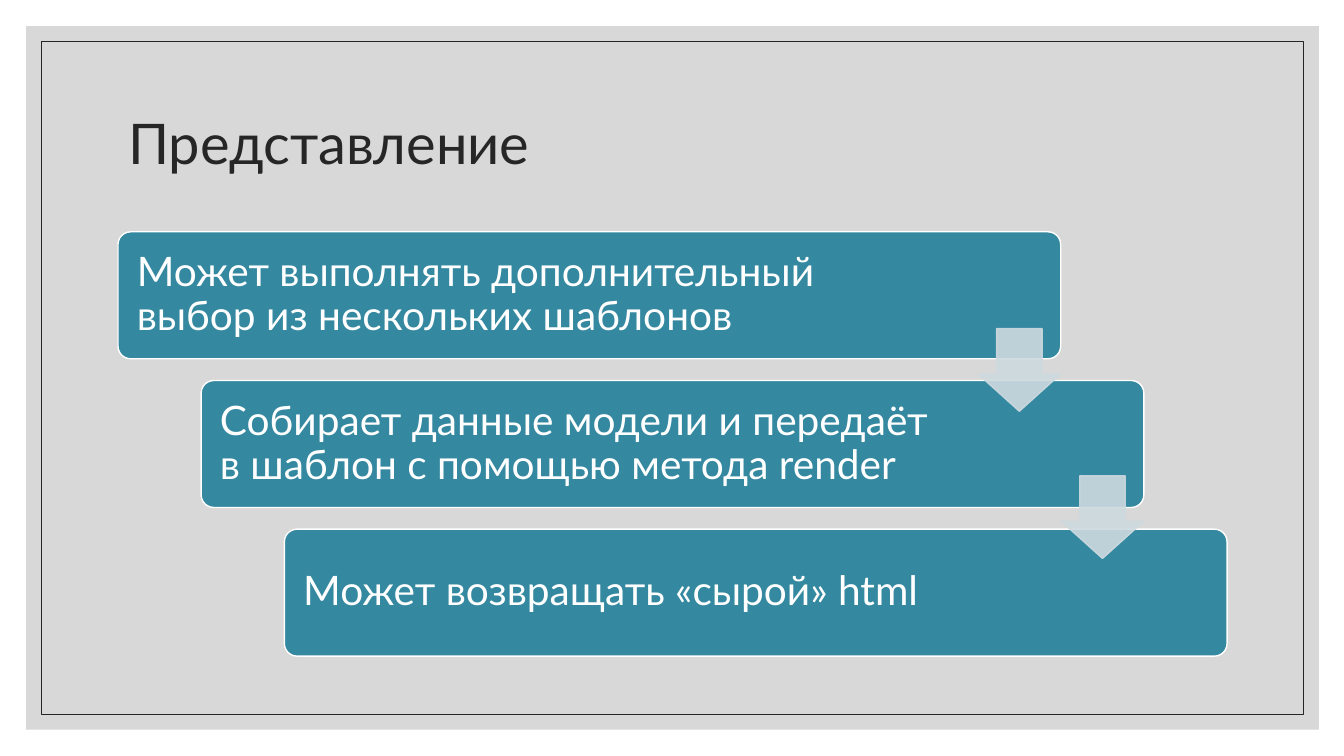
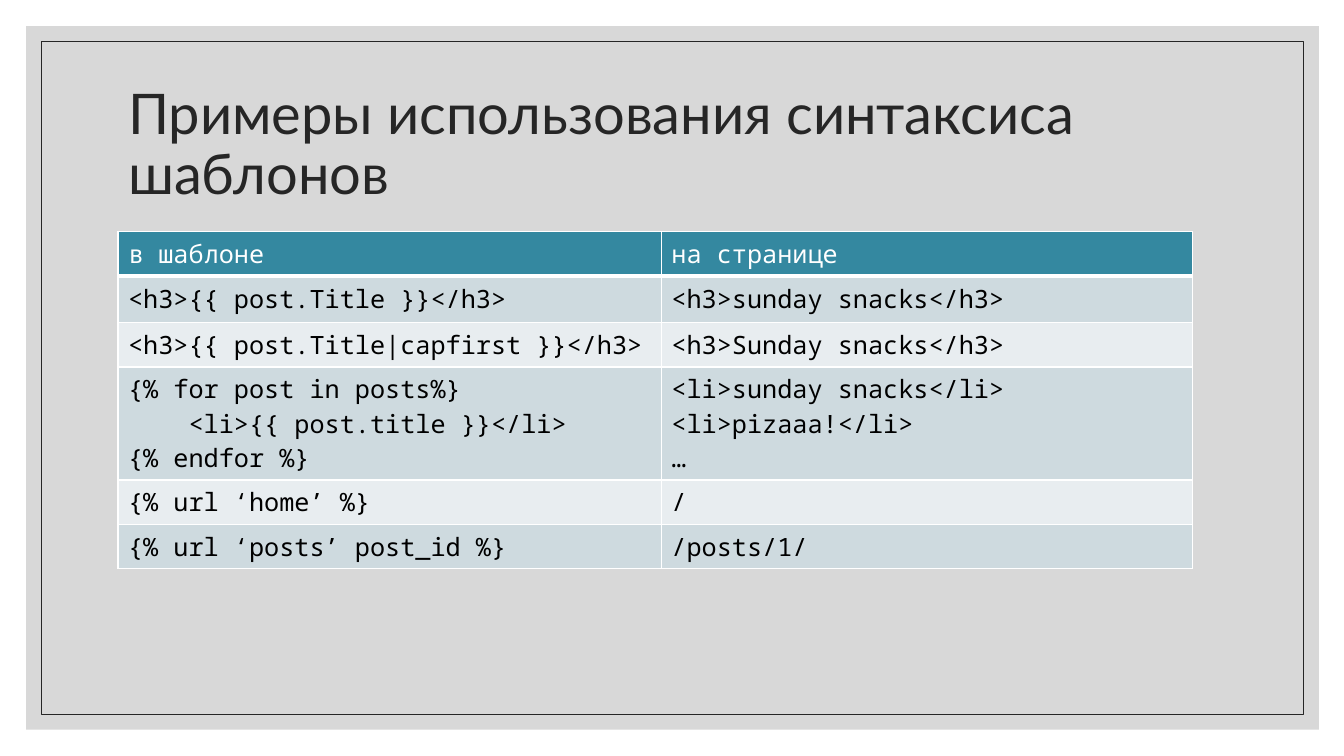
from dataclasses import dataclass

from lxml import etree
from pptx import Presentation, util as u
from pptx.dml import color, fill as fills
from pptx.enum import shapes, text
from pptx.oxml import ns

TEAL, PALE, LIGHT = "3488A0", "CEDADF", "E8EDF0"
INK, WHITE, BLACK, GREY = "262626", "FFFFFF", "000000", "BFBFBF"
BODY_FONT, CODE_FONT = "Lato", "Noto Sans Mono"
LEFT, CONTENT_TOP = 1.17, 2.3
TITLE_BOX = (LEFT, 0.7, 11, 1.5)


@dataclass(frozen=True)
class Step:
    """One box of the staircase, with the space kept free at its right."""
    wording: str
    right_inset: float


@dataclass(frozen=True)
class Example:
    """One table row: template code, its output and the row height."""
    template: str
    page: str
    height: float


STEPS = [
    Step("Может выполнять дополнительный выбор из нескольких шаблонов", 1.45),
    Step("Собирает данные модели и передаёт в шаблон с помощью метода render", 1.81),
    Step("Может возвращать «сырой» html", 1.81),
]
EXAMPLES = [
    Example("в шаблоне", "на странице", 0.43),
    Example("<h3>{{ post.Title }}</h3>", "<h3>sunday snacks</h3>", 0.46),
    Example("<h3>{{ post.Title|capfirst }}</h3>", "<h3>Sunday snacks</h3>", 0.43),
    Example("{% for post in posts%}\n\t<li>{{ post.title }}</li>\n{% endfor %}",
            "<li>sunday snacks</li>\n<li>pizaaa!</li>\n…", 1.02),
    Example("{% url ‘home’ %}", "/", 0.43),
    Example("{% url ‘posts’ post_id %}", "/posts/1/", 0.43),
]
COLUMN_WIDTHS = (5.39, 5.27)
CODE_INDENT = 0.6


def paint(target: fills.FillFormat, tint: str, opacity: int = 100) -> None:
    """Give a fill a solid colour, with an opacity in percent."""
    target.solid()
    target.fore_color.rgb = color.RGBColor.from_string(tint)
    if opacity < 100:
        swatch = target._xPr.find(ns.qn("a:solidFill"))[0]
        etree.SubElement(swatch, ns.qn("a:alpha"), val=str(opacity * 1000))


def add_block(slide, kind, box, tint=None, line=WHITE, weight=1.0,
              opacity=100, adjust=()):
    """Draw one preset shape; a missing tint or line leaves that part empty."""
    block = slide.shapes.add_shape(kind, *map(u.Inches, box))
    block.shadow.inherit = False
    for index, value in enumerate(adjust):
        block.adjustments[index] = value
    if tint:
        paint(block.fill, tint, opacity)
    else:
        block.fill.background()
    if line:
        paint(block.line.fill, line, opacity)
        block.line.width = u.Pt(weight)
    else:
        block.line.fill.background()
    return block


def style_text(frame, size: float, font: str, tint: str, spacing: float = 1.0) -> None:
    """Format every run of a text frame, aligned left."""
    for paragraph in frame.paragraphs:
        paragraph.alignment = text.PP_ALIGN.LEFT
        paragraph.line_spacing = spacing
        for run in paragraph.runs:
            run.font.size = u.Pt(size)
            run.font.name = font
            run.font.bold = False
            run.font.color.rgb = color.RGBColor.from_string(tint)


def add_frame(layout, slide) -> None:
    """Draw the grey panel and its thin outline, and move both to the layout."""
    panel = add_block(slide, shapes.MSO_SHAPE.RECTANGLE,
                      (0.26, 0.26, 12.82, 6.98), GREY, line=None, opacity=60)
    outline = add_block(slide, shapes.MSO_SHAPE.RECTANGLE,
                        (0.41, 0.41, 12.52, 6.68), line=INK, weight=0.5)
    for offset, part in enumerate((panel, outline)):
        part._element.nvSpPr.cNvPr.set("id", str(100 + offset))
        layout.shapes._spTree.insert(2 + offset, part._element)


def add_titled_slide(deck, layout, wording: str):
    """Add a slide with the shared title style."""
    slide = deck.slides.add_slide(layout)
    title = slide.shapes.title
    title.left, title.top, title.width, title.height = map(u.Inches, TITLE_BOX)
    frame = title.text_frame
    frame.text = wording
    frame.word_wrap = True
    frame.auto_size = text.MSO_AUTO_SIZE.NONE
    frame.vertical_anchor = text.MSO_ANCHOR.MIDDLE
    style_text(frame, 40, BODY_FONT, INK, 0.9)
    return slide


def add_staircase(slide, steps: list[Step]) -> None:
    """Draw the descending boxes, then the arrows that link them."""
    width, height, arrow = 9.35, 1.26, 0.82
    shift, drop = 0.825, 1.475
    for index, step in enumerate(steps):
        box = (LEFT + index * shift, CONTENT_TOP + index * drop, width, height)
        block = add_block(slide, shapes.MSO_SHAPE.ROUNDED_RECTANGLE, box, TEAL,
                          adjust=(0.1,))
        frame = block.text_frame
        frame.text = step.wording
        frame.word_wrap = True
        frame.vertical_anchor = text.MSO_ANCHOR.MIDDLE
        frame.margin_left = u.Inches(0.15)
        frame.margin_right = u.Inches(step.right_inset)
        style_text(frame, 29, BODY_FONT, WHITE, 0.9)
    for index in range(len(steps) - 1):
        box = (LEFT + width - arrow + index * shift, 3.26 + index * 1.46, arrow, arrow)
        add_block(slide, shapes.MSO_SHAPE.DOWN_ARROW, box, PALE, line=PALE,
                  opacity=90, adjust=(0.55, 0.45))


def add_borders(cell, top: float, bottom: float) -> None:
    """Give a cell white borders; the side ones are one point wide."""
    properties = cell._tc.get_or_add_tcPr()
    for side, weight in (("L", 1), ("R", 1), ("T", top), ("B", bottom)):
        border = etree.SubElement(properties, ns.qn(f"a:ln{side}"), w=str(u.Pt(weight)))
        solid = etree.SubElement(border, ns.qn("a:solidFill"))
        etree.SubElement(solid, ns.qn("a:srgbClr"), val=WHITE)


def fill_cell(cell, code: str, row: int) -> None:
    """Write code into a cell; a leading tab becomes a paragraph indent."""
    add_borders(cell, 3 if row == 1 else 1, 3 if row == 0 else 1)
    paint(cell.fill, TEAL if row == 0 else (LIGHT, PALE)[row % 2])
    frame = cell.text_frame
    for index, line in enumerate(code.split("\n")):
        paragraph = frame.add_paragraph() if index else frame.paragraphs[0]
        paragraph.text = line.lstrip("\t")
        if line.startswith("\t"):
            paragraph._p.get_or_add_pPr().set("marL", str(u.Inches(CODE_INDENT)))
    style_text(frame, 18, CODE_FONT, BLACK if row else WHITE)


def add_examples(slide, examples: list[Example]) -> None:
    """Draw the table of template code and resulting page."""
    size = (sum(COLUMN_WIDTHS), sum(example.height for example in examples))
    table = slide.shapes.add_table(len(examples), len(COLUMN_WIDTHS),
                                   *map(u.Inches, (LEFT, CONTENT_TOP, *size))).table
    for column, width in zip(table.columns, COLUMN_WIDTHS):
        column.width = u.Inches(width)
    for row, example in enumerate(examples):
        table.rows[row].height = u.Inches(example.height)
        for column, code in enumerate((example.template, example.page)):
            fill_cell(table.cell(row, column), code, row)


def main() -> None:
    """Build and save the deck."""
    deck = Presentation()
    deck.slide_width, deck.slide_height = u.Inches(13.33), u.Inches(7.5)
    layout = deck.slide_layouts.get_by_name("Title Only")
    view = add_titled_slide(deck, layout, "Представление")
    add_frame(layout, view)
    add_staircase(view, STEPS)
    syntax = add_titled_slide(deck, layout, "Примеры использования синтаксиса шаблонов")
    add_examples(syntax, EXAMPLES)
    deck.save("out.pptx")


main()
